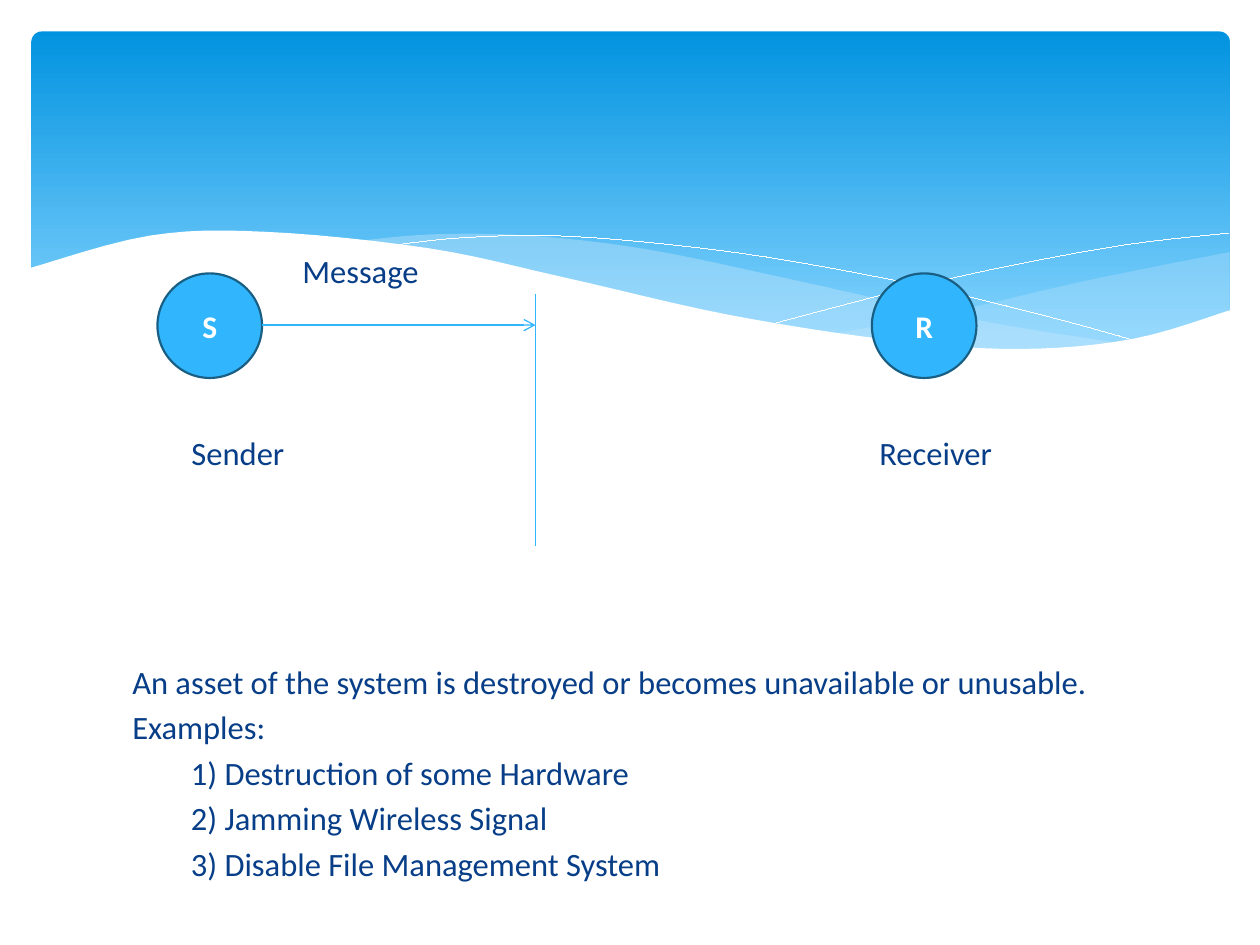
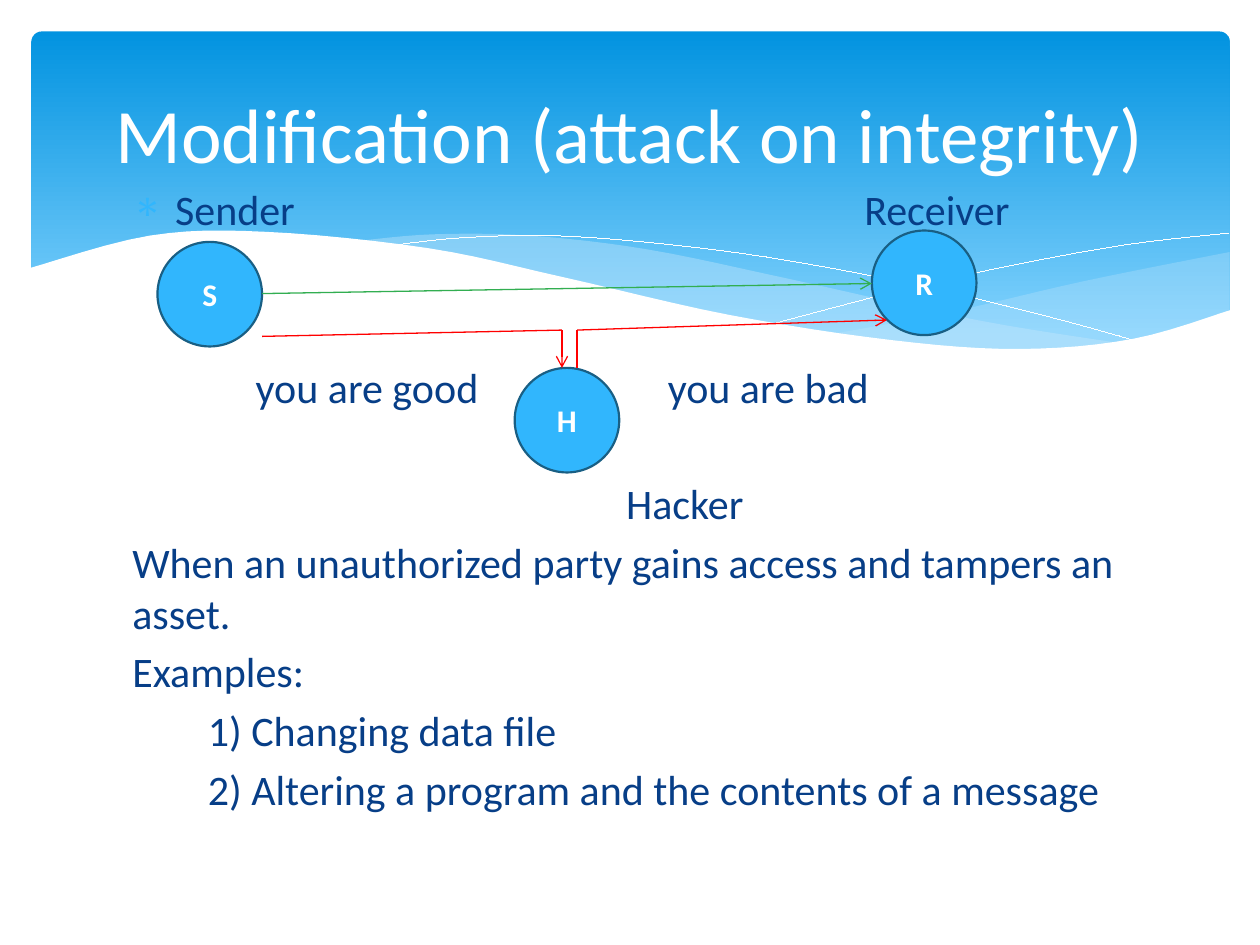
"""Build two slides on attacks between a sender and a receiver."""
from lxml import etree
from pptx import Presentation
from pptx.dml.color import RGBColor
from pptx.enum.shapes import MSO_CONNECTOR, MSO_SHAPE
from pptx.enum.text import MSO_ANCHOR, PP_ALIGN
from pptx.oxml.ns import qn
from pptx.util import Inches, Pt

STRAIGHT = MSO_CONNECTOR.STRAIGHT
OVAL, ROUND = MSO_SHAPE.OVAL, MSO_SHAPE.ROUNDED_RECTANGLE
MIDDLE, TOP = MSO_ANCHOR.MIDDLE, MSO_ANCHOR.TOP
CENTER, LEFT = PP_ALIGN.CENTER, PP_ALIGN.LEFT

COLORS = {
    "white": "FFFFFF", "navy": "073E87", "sky": "31B6FD", "rim": "195F84",
    "deep": "0293E0", "pale": "83D3FE", "mist": "C6E7FC",
    "green": "32AE51", "red": "FF0000",
}
RGB = {name: RGBColor.from_string(code) for name, code in COLORS.items()}

FONT = "Calibri"
MARGIN = 1.05
FLOOR = 6.7
HANG = 0.34
STEPS = 6

NODE = 0.83
SEND, TAKE = 1.25, 6.92
HACK = (SEND + TAKE) / 2
OUT = SEND + NODE
WALL = 4.25
DOWN, UP = 4.46, 4.58
TURN = 2.62


def curve(knots):
    """Return points on a smooth Catmull-Rom curve through the knots."""
    padded = [knots[0], *knots, knots[-1]]
    points = [knots[0]]
    for a, b, c, d in zip(padded, padded[1:], padded[2:], padded[3:]):
        for step in range(1, STEPS + 1):
            t = step / STEPS
            points.append(tuple(
                q + t / 2 * (r - p + t * (2 * p - 5 * q + 4 * r - s + t * (3 * (q - r) + s - p)))
                for p, q, r, s in zip(a, b, c, d)
            ))
    return points


def write(shape, rows, size, color, align=LEFT, anchor=TOP, bold=False):
    """Fill a shape with rows; numbered rows are indented, a leading ∗ makes a bullet."""
    frame = shape.text_frame
    frame.word_wrap = True
    frame.vertical_anchor = anchor
    frame.margin_left = frame.margin_right = 0
    frame.margin_top = frame.margin_bottom = 0
    for i, row in enumerate(rows):
        par = frame.add_paragraph() if i else frame.paragraphs[0]
        props = par._p.get_or_add_pPr()
        if row.startswith("∗"):
            props.set("marL", str(Inches(HANG)))
            props.set("indent", str(Inches(-HANG)))
            tint = etree.SubElement(props, qn("a:buClr"))
            etree.SubElement(tint, qn("a:srgbClr"), val=COLORS["sky"])
            etree.SubElement(props, qn("a:buChar"), char="∗")
        elif row[0].isdigit():
            props.set("marL", str(Inches(size / 40)))
            props.set("indent", "0")
        par.alignment = align
        if i:
            par.space_before = Pt(size * 0.2)
        run = par.add_run()
        run.text = row.removeprefix("∗")
        run.font.name = FONT
        run.font.size = Pt(size)
        run.font.bold = bold
        run.font.color.rgb = RGB[color]


right = curve([(9.76, 2), (8.61, 2.23), (7.53, 2.48), (6.61, 2.65)])
right += curve([(6.61, 2.65), (7.32, 2.74), (8.03, 2.78), (8.89, 2.72), (9.76, 2.47)])
mid = curve([(8.93, 2.73), (7.75, 2.54), (6.29, 2.22), (5.14, 1.98), (4.2, 1.87), (3.44, 1.86), (2.86, 1.91)])
mid += curve([(2.86, 1.91), (4.49, 2.22), (5.66, 2.48), (6.65, 2.66), (7.36, 2.75), (8.07, 2.78), (8.93, 2.73)])
fall = curve([(3.09, 1.95), (3.63, 1.89), (4.33, 1.87), (5.1, 1.92), (6.08, 2.04), (7.27, 2.26), (8.31, 2.51), (9.07, 2.72)])
rise = curve([(6.13, 2.57), (7.2, 2.29), (8.06, 2.1), (8.95, 1.94), (9.75, 1.85)])
front = curve([(9.77, 2.46), (8.99, 2.69), (8.09, 2.77), (7.08, 2.7), (5.79, 2.5), (4.47, 2.2), (3.4, 1.97), (2.11, 1.84), (1.19, 1.87), (0.23, 2.13)])
front += [(0.23, 3.29), (9.77, 3.29)]

FILLED = [(right, "mist", 29), (mid, "mist", 40), (front, "white", 100)]
WAVES = FILLED[:2] + [(fall, None, 0), (rise, None, 0)] + FILLED[2:]

SLIDES = [
    {
        "title": None, "size": 18.6, "top": 5.25,
        "body": [
            "An asset of the system is destroyed or becomes unavailable or unusable.",
            "Examples:",
            "1) Destruction of some Hardware",
            "2) Jamming Wireless Signal",
            "3) Disable File Management System",
        ],
        "labels": [("Message", 2.4, 1.99), ("Sender", 1.52, 3.44), ("Receiver", 6.98, 3.44)],
        "nodes": [("S", SEND, 2.17), ("R", TAKE, 2.17)],
        "lines": [
            ((OUT, 2.58), (WALL, 2.58), "sky", True),
            ((WALL, 4.33), (WALL, 2.33), "sky", False),
        ],
    },
    {
        "title": "Modification (attack on integrity)", "size": 24, "top": 4.26,
        "body": [
            "When an unauthorized party gains access and tampers an asset.",
            "Examples:",
            "1) Changing data file",
            "2) Altering a program and the contents of a message",
        ],
        "labels": [
            ("∗Sender", MARGIN, 1.46), ("Receiver", 6.86, 1.46),
            ("you are good", 2.03, 2.87), ("you are bad", 5.3, 2.87),
            ("Hacker", 4.97, 3.79),
        ],
        "nodes": [("S", SEND, 1.92), ("R", TAKE, 1.83), ("H", HACK, 2.92)],
        "lines": [
            ((OUT, 2.33), (TAKE, 2.25), "green", True),
            ((OUT, 2.67), (DOWN, TURN), "red", False),
            ((DOWN, TURN), (DOWN, 2.92), "red", True),
            ((UP, TURN), (UP, 2.92), "red", False),
            ((UP, TURN), (7.04, 2.54), "red", True),
        ],
    },
]

deck = Presentation()
deck.slide_width, deck.slide_height = Inches(10), Inches(7.5)

for plan in SLIDES:
    slide = deck.slides.add_slide(deck.slide_layouts[6])
    shapes = slide.shapes
    size, top = plan["size"], plan["top"]

    band = shapes.add_shape(ROUND, Inches(0.25), Inches(0.25), Inches(9.51), Inches(2.7))
    band.adjustments[0] = 0.03
    band.shadow.inherit = False
    band.line.fill.background()
    band.fill.gradient()
    band.fill.gradient_angle = 270
    for stop, color, place in zip(band.fill.gradient_stops, ("deep", "pale"), (0, 0.9)):
        stop.color.rgb = RGB[color]
        stop.position = place

    for points, color, alpha in WAVES:
        spots = [(Inches(x), Inches(y)) for x, y in points]
        pen = shapes.build_freeform(*spots[0])
        pen.add_line_segments(spots[1:], close=color is not None)
        wave = pen.convert_to_shape()
        wave.shadow.inherit = False
        if color:
            wave.line.fill.background()
            wave.fill.solid()
            wave.fill.fore_color.rgb = RGB[color]
            tint = wave._element.spPr.find(qn("a:solidFill"))[0]
            etree.SubElement(tint, qn("a:alpha"), val=str(alpha * 1000))
        else:
            wave.fill.background()
            wave.line.color.rgb = RGB["white"]
            wave.line.width = Pt(0.01)

    box = shapes.add_textbox(Inches(MARGIN), Inches(top), Inches(10 - 2 * MARGIN), Inches(FLOOR - top))
    write(box, plan["body"], size, "navy")

    for label, x, y in plan["labels"]:
        box = shapes.add_textbox(Inches(x), Inches(y), Inches(2), Inches(0.4))
        write(box, [label], size, "navy")

    for name, x, y in plan["nodes"]:
        node = shapes.add_shape(OVAL, Inches(x), Inches(y), Inches(NODE), Inches(NODE))
        node.shadow.inherit = False
        node.fill.solid()
        node.fill.fore_color.rgb = RGB["sky"]
        node.line.color.rgb = RGB["rim"]
        node.line.width = Pt(1.25)
        write(node, [name], 18, "white", CENTER, MIDDLE, bold=True)

    for start, end, color, arrow in plan["lines"]:
        line = shapes.add_connector(STRAIGHT, *map(Inches, start + end))
        line.line.color.rgb = RGB[color]
        line.line.width = Pt(0.75)
        if arrow:
            etree.SubElement(line.line._get_or_add_ln(), qn("a:tailEnd"), type="arrow")
        etree.SubElement(line._element.spPr, qn("a:effectLst"))

    if plan["title"]:
        box = shapes.add_textbox(Inches(0.5), Inches(0.37), Inches(9), Inches(1.37))
        write(box, [plan["title"]], 44, "white", CENTER, MIDDLE)

deck.save("out.pptx")
